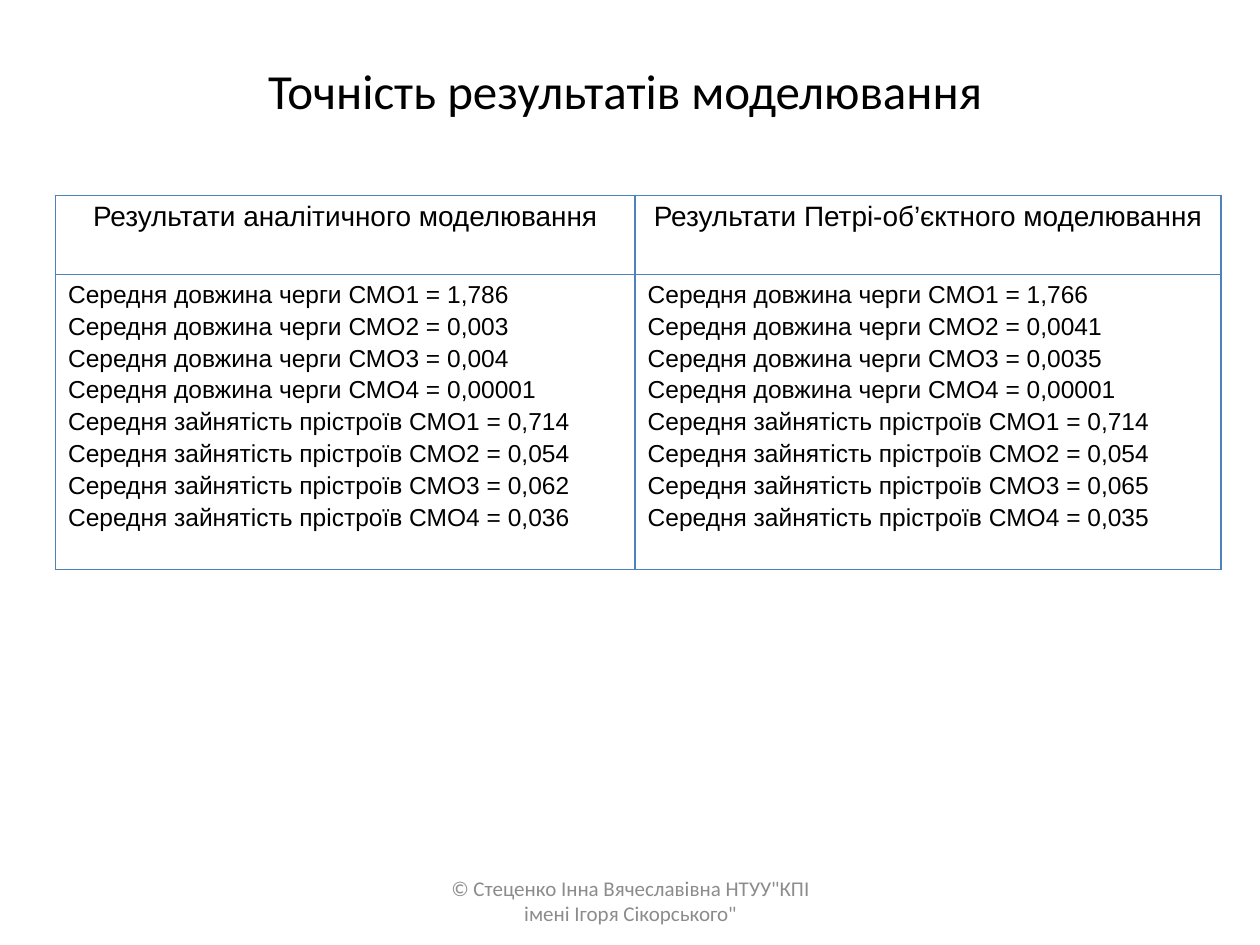
from dataclasses import dataclass

from lxml import etree
from pptx import Presentation
from pptx.dml.color import RGBColor
from pptx.enum import text
from pptx.oxml import ns
from pptx.util import Inches, Pt


@dataclass(frozen=True)
class Theme:
    ink: RGBColor = RGBColor(0, 0, 0)
    muted: RGBColor = RGBColor(0x8C, 0x8C, 0x8C)
    paper: RGBColor = RGBColor(255, 255, 255)
    border: str = "4F81BD"
    title: Pt = Pt(28)
    heading: Pt = Pt(16)
    body: Pt = Pt(14)
    footer: Pt = Pt(12)


theme = Theme()


def style(paragraph, font, size, color, align):
    paragraph.alignment = align
    paragraph.font.name = font
    paragraph.font.size = size
    paragraph.font.color.rgb = color


def add_borders(cell):
    """Draw a thin line on all four sides; call before the fill is set."""
    props = cell._tc.get_or_add_tcPr()
    for side in ("lnL", "lnR", "lnT", "lnB"):
        line = etree.SubElement(props, ns.qn(f"a:{side}"), w=str(Pt(1)))
        fill = etree.SubElement(line, ns.qn("a:solidFill"))
        etree.SubElement(fill, ns.qn("a:srgbClr"), val=theme.border)


prs = Presentation()
prs.slide_width, prs.slide_height = Inches(10), Inches(7.5)
slide = prs.slides.add_slide(prs.slide_layouts[6])

captions = [
    ("Точність результатів моделювання",
     (0.43, 0.44, 9.06, 0.55), theme.title, theme.ink),
    ('© Стеценко Інна Вячеславівна НТУУ"КПІ імені Ігоря Сікорського"',
     (3.42, 6.95, 3.17, 0.4), theme.footer, theme.muted),
]
for wording, place, size, color in captions:
    frame = slide.shapes.add_textbox(*map(Inches, place)).text_frame
    frame.word_wrap = True
    frame.vertical_anchor = text.MSO_ANCHOR.MIDDLE
    frame.text = wording
    style(frame.paragraphs[0], "Calibri", size, color, text.PP_ALIGN.CENTER)

measures = [f"{measure} СМО{number}"
            for measure in ("Середня довжина черги", "Середня зайнятість прістроїв")
            for number in range(1, 5)]
results = {
    "Результати аналітичного моделювання":
        ["1,786", "0,003", "0,004", "0,00001", "0,714", "0,054", "0,062", "0,036"],
    "Результати Петрі-об’єктного моделювання":
        ["1,766", "0,0041", "0,0035", "0,00001", "0,714", "0,054", "0,065", "0,035"],
}
column_widths = [4.6, 4.65]
row_heights = [0.63, 2.34]

comparison = slide.shapes.add_table(
    2, 2, Inches(0.44), Inches(1.55),
    Inches(sum(column_widths)), Inches(sum(row_heights))).table
comparison.first_row = False
comparison.horz_banding = False
for row, height in zip(comparison.rows, row_heights):
    row.height = Inches(height)

for column, (heading, values) in enumerate(results.items()):
    comparison.columns[column].width = Inches(column_widths[column])
    lines = [f"{measure} = {value}" for measure, value in zip(measures, values)]
    contents = [
        (heading, theme.heading, text.PP_ALIGN.CENTER),
        ("\n".join(lines), theme.body, text.PP_ALIGN.LEFT),
    ]
    for row, (wording, size, align) in enumerate(contents):
        cell = comparison.cell(row, column)
        add_borders(cell)
        cell.fill.solid()
        cell.fill.fore_color.rgb = theme.paper
        cell.text = wording
        for paragraph in cell.text_frame.paragraphs:
            style(paragraph, "Arial", size, theme.ink, align)
            paragraph.space_before = Pt(2.5)

prs.save("out.pptx")
